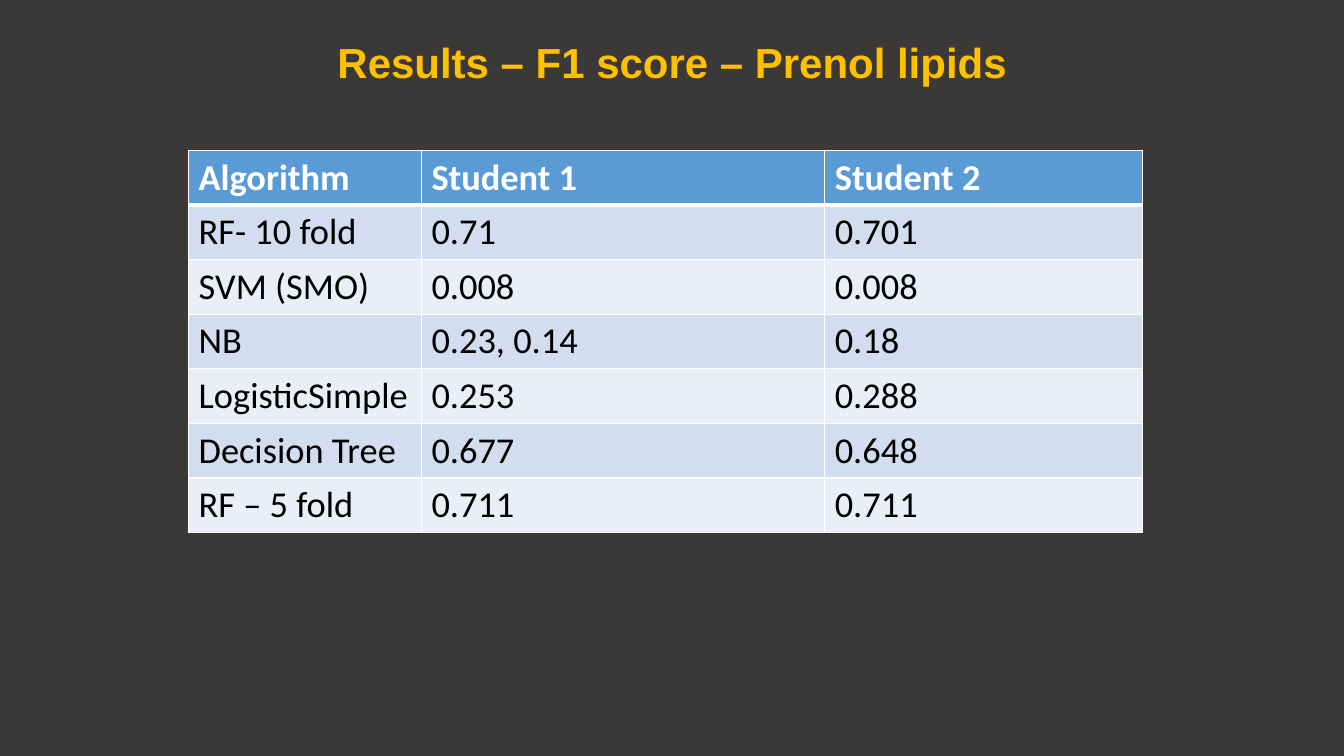
from lxml import etree
from pptx import Presentation
from pptx.dml.color import RGBColor
from pptx.enum.text import MSO_ANCHOR, PP_ALIGN
from pptx.oxml.ns import qn
from pptx.util import Inches, Pt

CENTER = PP_ALIGN.CENTER
MIDDLE = MSO_ANCHOR.MIDDLE
TITLE_ONLY = 5

BACKGROUND, GOLD, WHITE, BLACK = "3B3838", "FFC000", "FFFFFF", "000000"
HEADER_FILL = "5B9BD5"
BAND_FILLS = ("EAEFF7", "D2DEEF")

COLUMN_WIDTHS = (2.31, 4, 3.15)
ROW_HEIGHT = 0.54
SCORES = (
    ("Algorithm", "Student 1", "Student 2"),
    ("RF- 10 fold", "0.71", "0.701"),
    ("SVM (SMO)", "0.008", "0.008"),
    ("NB", "0.23, 0.14", "0.18"),
    ("LogisticSimple", "0.253", "0.288"),
    ("Decision Tree", "0.677", "0.648"),
    ("RF – 5 fold", "0.711", "0.711"),
)


def color(hex_value):
    return RGBColor.from_string(hex_value)


def add_run(paragraph, text, font_name, size, hex_value, bold):
    run = paragraph.add_run()
    run.text = text
    run.font.name = font_name
    run.font.size = Pt(size)
    run.font.bold = bold
    run.font.color.rgb = color(hex_value)


def add_title(slide, left, top, width, height):
    title = slide.shapes.title
    title.left, title.top = Inches(left), Inches(top)
    title.width, title.height = Inches(width), Inches(height)
    title.text_frame.vertical_anchor = MIDDLE
    heading = title.text_frame.paragraphs[0]
    heading.alignment = CENTER
    heading.line_spacing = 0.9
    add_run(heading, "Results – F1 score – Prenol lipids", "Arial", 30, GOLD, True)


def set_borders(cell, top, bottom):
    properties = cell._tc.get_or_add_tcPr()
    for side, points in (("L", 1), ("R", 1), ("T", top), ("B", bottom)):
        border = etree.SubElement(properties, qn(f"a:ln{side}"), w=str(Pt(points)))
        fill = etree.SubElement(border, qn("a:solidFill"))
        etree.SubElement(fill, qn("a:srgbClr"), val=WHITE)


def add_scores(slide, left, top):
    frame = slide.shapes.add_table(
        len(SCORES), len(COLUMN_WIDTHS), Inches(left), Inches(top),
        Inches(sum(COLUMN_WIDTHS)), Inches(ROW_HEIGHT * len(SCORES)))
    scores = frame.table
    for column, width in zip(scores.columns, COLUMN_WIDTHS):
        column.width = Inches(width)
    for row, entries in enumerate(SCORES):
        is_header = row == 0
        for column, entry in enumerate(entries):
            cell = scores.cell(row, column)
            set_borders(cell, 3 if row == 1 else 1, 3 if is_header else 1)
            cell.fill.solid()
            cell.fill.fore_color.rgb = color(HEADER_FILL if is_header else BAND_FILLS[row % 2])
            add_run(cell.text_frame.paragraphs[0], entry, "Calibri", 26,
                    WHITE if is_header else BLACK, is_header)


def main():
    presentation = Presentation()
    presentation.slide_width = Inches(13.33)
    presentation.slide_height = Inches(7.5)
    slide = presentation.slides.add_slide(presentation.slide_layouts[TITLE_ONLY])
    slide.background.fill.solid()
    slide.background.fill.fore_color.rgb = color(BACKGROUND)
    add_title(slide, 0.92, 0.33, 11.5, 0.62)
    add_scores(slide, 1.87, 1.49)
    presentation.save("out.pptx")


if __name__ == "__main__":
    main()
